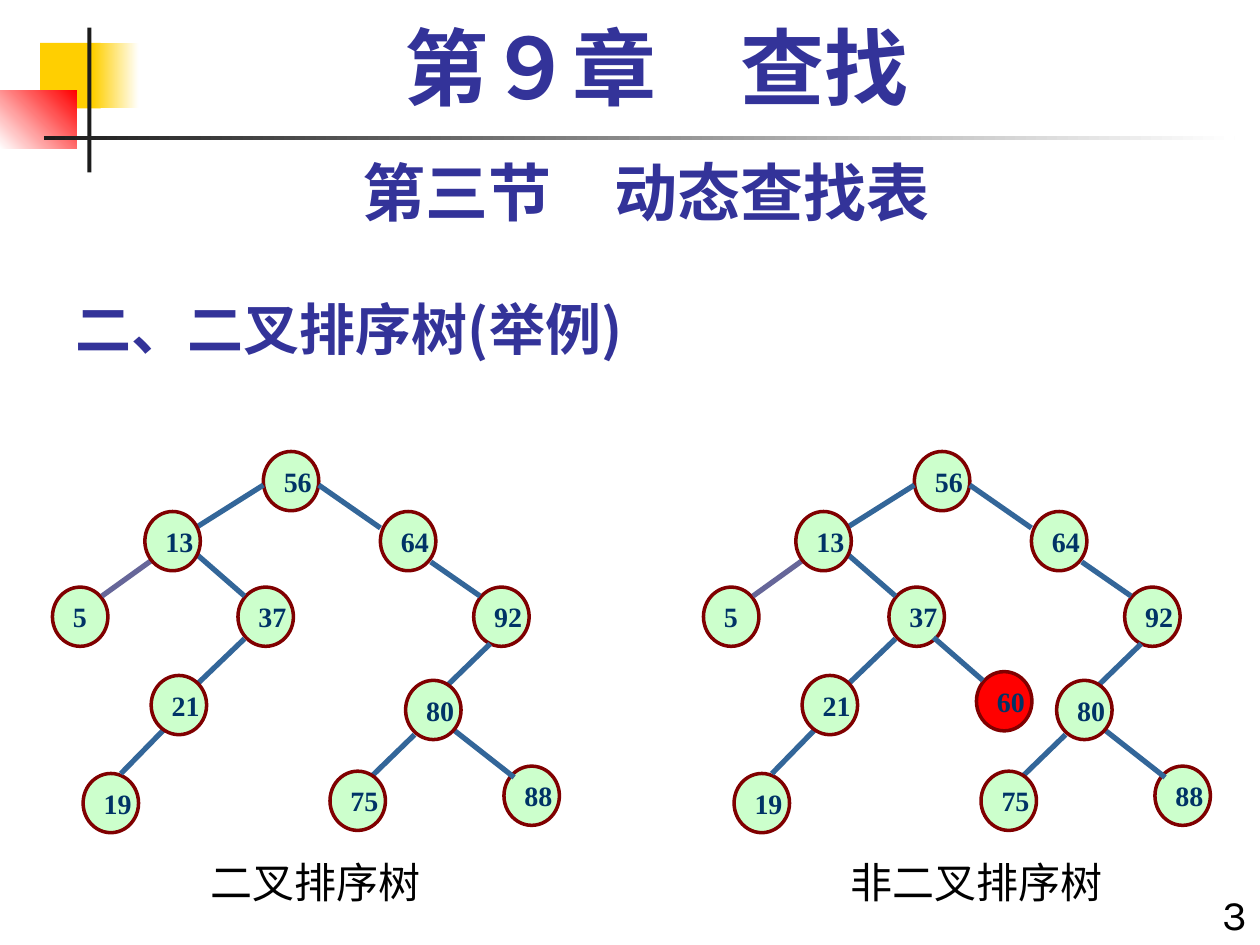
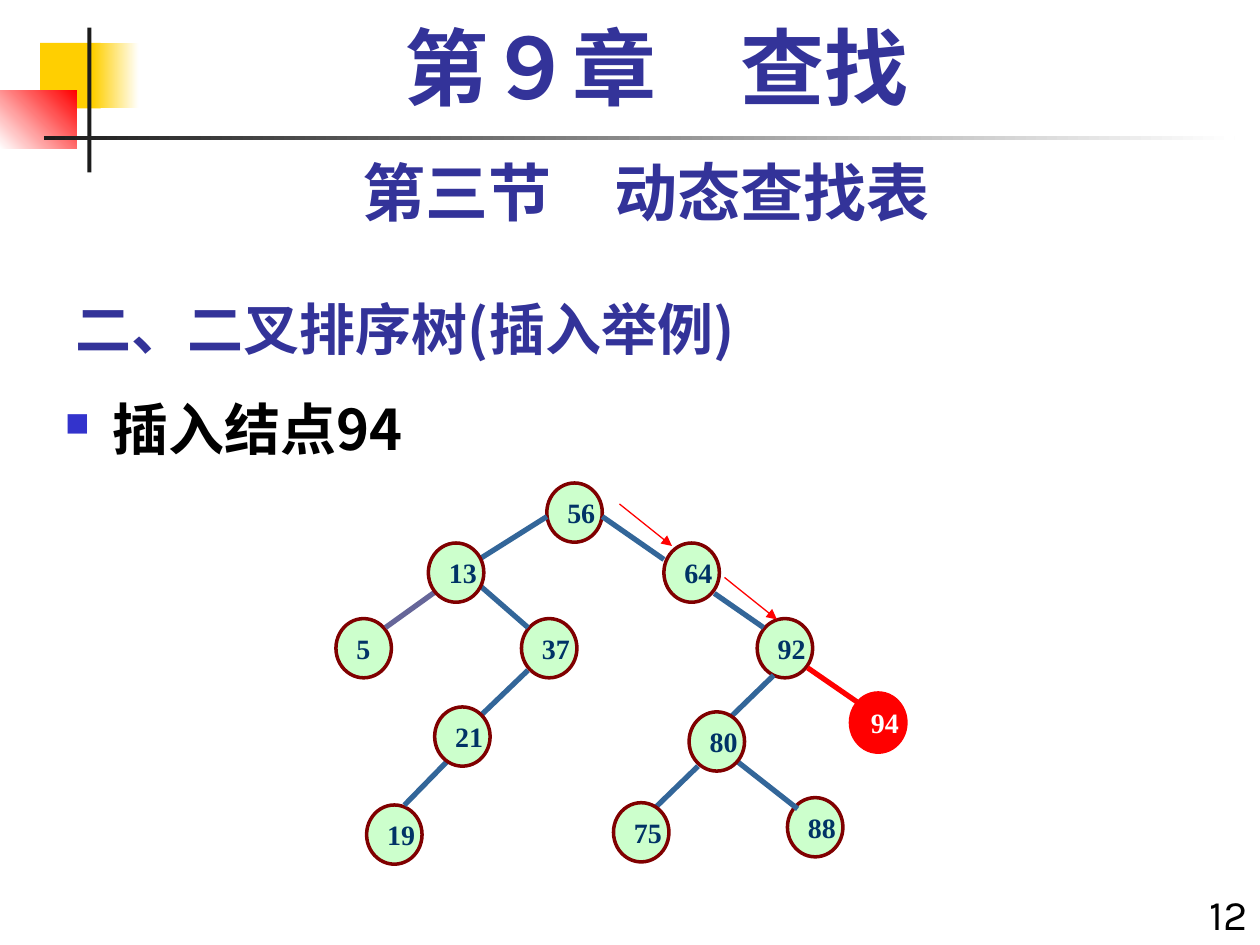
"""Build two slides on binary search trees: an example pair and an insertion."""
from dataclasses import dataclass

from lxml.etree import SubElement
from pptx import Presentation
from pptx.dml.color import RGBColor
from pptx.enum.shapes import MSO_CONNECTOR, MSO_SHAPE
from pptx.enum.text import MSO_ANCHOR, PP_ALIGN
from pptx.oxml.ns import qn
from pptx.shapes.autoshape import Shape
from pptx.slide import Slide
from pptx.util import Pt

COLORS = {
    "black": "000000", "white": "FFFFFF", "red": "FF0000", "yellow": "FFCF01",
    "ink": "1C1C1C", "heading": "333399", "bullet": "3333CC", "node": "CCFFCC",
    "ring": "800000", "key": "003366", "edge": "336699", "violet": "666699",
}
CJK = "Noto Sans CJK SC"
KARLA = "Karla"
TIMES = "Times New Roman"
NODE_W, NODE_H = 31.68, 33.84


@dataclass(frozen=True)
class Band:
    left: float
    top: float
    width: float
    height: float
    start: str
    end: str | None = None
    angle: float = 0


@dataclass(frozen=True)
class Label:
    left: float
    top: float
    width: float
    height: float
    size: float
    font: str = KARLA
    color: str = "black"
    bold: bool = False
    align: PP_ALIGN = PP_ALIGN.CENTER
    anchor: MSO_ANCHOR = MSO_ANCHOR.TOP
    spacing: float = 1.0


@dataclass(frozen=True)
class Node:
    key: int
    x: float
    y: float
    fill: str = "node"
    ring: str = "ring"
    color: str = "key"


@dataclass(frozen=True)
class Edge:
    x1: float
    y1: float
    x2: float
    y2: float
    color: str = "edge"
    weight: float = 3
    arrow: bool = False


BANDS = [
    Band(23, 24.5, 34.5, 37.5, "yellow"),
    Band(53.3, 24.5, 26, 37.5, "yellow", "white"),
    Band(0, 51.8, 44, 33.1, "white", "red", 45),
    Band(49.9, 15.8, 2.3, 82.8, "ink"),
    Band(25.2, 77.8, 680.4, 2.4, "ink", "white"),
]
CHAPTER = Label(48, 12, 654, 60, 48, TIMES, "heading", True, spacing=0.9)
SECTION = Label(36, 84, 666, 50.4, 36, KARLA, "heading", True)
TITLE = Label(36, 156, 450, 54, 32, CJK, "heading", True, PP_ALIGN.LEFT, MSO_ANCHOR.BOTTOM)
NUMBER = Label(672, 504, 48, 36, 24, align=PP_ALIGN.RIGHT)
BODY = Label(30, 222, 690, 318, 32, CJK, bold=True, align=PP_ALIGN.LEFT)

TREE = [
    Node(56, 120.5, 0),
    Node(64, 187.4, 34.3),
    Node(5, 0, 77.5),
    Node(92, 240.7, 77.5),
    Node(37, 106, 77.5),
    Node(88, 258, 179.8),
    Edge(120.5, 19.2, 81.6, 43.7),
    Edge(56.4, 62.4, 28.3, 82.6, "violet"),
    Edge(152.2, 19.2, 187.4, 43.7),
    Edge(81.6, 58.1, 109.7, 82.6),
    Edge(109.7, 107, 75.1, 140.2),
    Edge(216.2, 63.1, 244.3, 82.6),
    Edge(250.1, 109.9, 223.4, 135.8),
    Edge(229.9, 159.6, 263.8, 186.2),
    Node(19, 17.5, 184),
    Edge(67.2, 155.3, 39.1, 184.1),
    Node(80, 201.8, 130.8),
    Node(21, 56.4, 128),
    Node(13, 52.8, 34.3),
    Edge(206.9, 161.8, 180.2, 187.7),
    Node(75, 158.6, 182.7),
]
MISPLACED = [Node(60, 156, 125.8, "red"), Edge(131.5, 106.3, 159.6, 130.8)]
INSERTED = [
    Node(94, 294, 120, "red", "red", "white"),
    Edge(269.5, 105.6, 297.6, 125, "red"),
]
SEARCH_PATH = [
    Edge(354, 288, 384, 312, "red", 0.75, True),
    Edge(414, 330, 444, 354, "red", 0.75, True),
]


def rgb(name: str) -> RGBColor:
    """Look up a named colour."""
    return RGBColor.from_string(COLORS[name])


def set_text(sp: Shape, text: str, size: float, font: str, color: str, bold: bool) -> None:
    """Write one formatted paragraph into a shape."""
    p = sp.text_frame.paragraphs[0]
    p.text = text
    r = p.runs[0]
    r.font.size = Pt(size)
    r.font.bold = bold
    r.font.color.rgb = rgb(color)
    r.font.name = font
    for props in sp.element.iter(qn("a:rPr")):
        SubElement(props, qn("a:ea"), typeface=CJK)


def add_band(s: Slide, band: Band) -> None:
    """Draw one plain or gradient rectangle."""
    sp = s.shapes.add_shape(
        MSO_SHAPE.RECTANGLE, Pt(band.left), Pt(band.top), Pt(band.width), Pt(band.height)
    )
    sp.shadow.inherit = False
    sp.line.fill.background()
    if band.end is None:
        sp.fill.solid()
        sp.fill.fore_color.rgb = rgb(band.start)
        return
    sp.fill.gradient()
    sp.fill.gradient_angle = band.angle
    for stop, name, position in zip(sp.fill.gradient_stops, (band.start, band.end), (0, 1)):
        stop.color.rgb = rgb(name)
        stop.position = position


def add_label(s: Slide, label: Label, text: str) -> Shape:
    """Place a text box."""
    sp = s.shapes.add_textbox(Pt(label.left), Pt(label.top), Pt(label.width), Pt(label.height))
    tf = sp.text_frame
    tf.word_wrap = True
    tf.vertical_anchor = label.anchor
    set_text(sp, text, label.size, label.font, label.color, label.bold)
    p = tf.paragraphs[0]
    p.alignment = label.align
    p.line_spacing = label.spacing
    return sp


def add_bullet(sp: Shape) -> None:
    """Give the paragraphs of a shape a square bullet."""
    for props in sp.element.iter(qn("a:pPr")):
        props.set("marL", str(Pt(27)))
        props.set("indent", str(Pt(-27)))
        SubElement(SubElement(props, qn("a:buClr")), qn("a:srgbClr"), val=COLORS["bullet"])
        SubElement(props, qn("a:buSzPct"), val="60000")
        SubElement(props, qn("a:buChar"), char="■")


def add_node(shapes, node: Node, dx: float, dy: float) -> None:
    """Draw a tree node with its key."""
    sp = shapes.add_shape(
        MSO_SHAPE.OVAL, Pt(node.x + dx), Pt(node.y + dy), Pt(NODE_W), Pt(NODE_H)
    )
    sp.shadow.inherit = False
    sp.fill.solid()
    sp.fill.fore_color.rgb = rgb(node.fill)
    sp.line.color.rgb = rgb(node.ring)
    sp.line.width = Pt(2)
    tf = sp.text_frame
    tf.word_wrap = False
    tf.vertical_anchor = MSO_ANCHOR.MIDDLE
    set_text(sp, str(node.key), 16, TIMES, node.color, True)
    tf.paragraphs[0].alignment = PP_ALIGN.LEFT


def add_edge(shapes, edge: Edge, dx: float = 0, dy: float = 0) -> None:
    """Draw a straight line, with an arrowhead if asked."""
    c = shapes.add_connector(
        MSO_CONNECTOR.STRAIGHT,
        Pt(edge.x1 + dx), Pt(edge.y1 + dy), Pt(edge.x2 + dx), Pt(edge.y2 + dy),
    )
    c.line.color.rgb = rgb(edge.color)
    c.line.width = Pt(edge.weight)
    props = c.element.spPr
    if edge.arrow:
        SubElement(props.find(qn("a:ln")), qn("a:tailEnd"), type="triangle")
    SubElement(props, qn("a:effectLst"))


def add_tree(s: Slide, left: float, top: float, parts: list[Node | Edge]) -> None:
    """Draw a grouped tree from its top left corner."""
    group = s.shapes.add_group_shape()
    for part in parts:
        draw = add_node if isinstance(part, Node) else add_edge
        draw(group.shapes, part, left, top)


def add_slide(prs: Presentation, title: str, number: int) -> Slide:
    """Add a slide with the shared bands, headings and number."""
    s = prs.slides.add_slide(prs.slide_layouts[6])
    for band in BANDS:
        add_band(s, band)
    add_label(s, TITLE, title)
    add_label(s, NUMBER, str(number))
    add_label(s, SECTION, "第三节　动态查找表")
    add_label(s, CHAPTER, "第９章　查找")
    return s


def main() -> None:
    """Build and save the slides."""
    prs = Presentation()
    prs.slide_width, prs.slide_height = Pt(720), Pt(540)

    s = add_slide(prs, "二、二叉排序树(举例)", 3)
    for left, caption in ((96, "二叉排序树"), (474, "非二叉排序树")):
        add_label(s, Label(left, 486, 168, 36, 24), caption)
    add_tree(s, 30, 258, TREE)
    add_tree(s, 402, 258, TREE + MISPLACED)

    s = add_slide(prs, "二、二叉排序树(插入举例)", 12)
    add_bullet(add_label(s, BODY, "插入结点94"))
    add_tree(s, 192, 276, TREE + INSERTED)
    for step in SEARCH_PATH:
        add_edge(s.shapes, step)

    prs.save("out.pptx")


if __name__ == "__main__":
    main()
